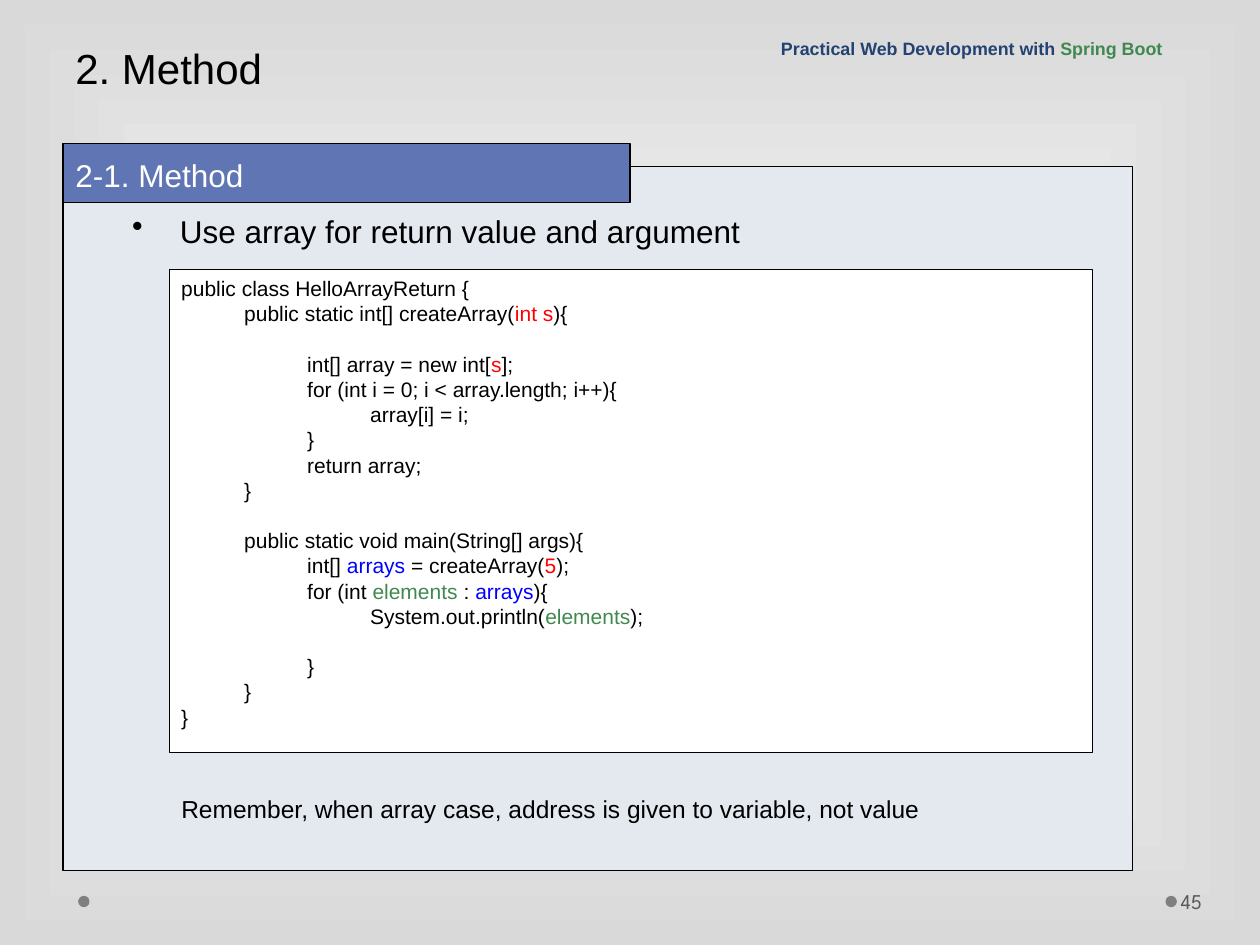
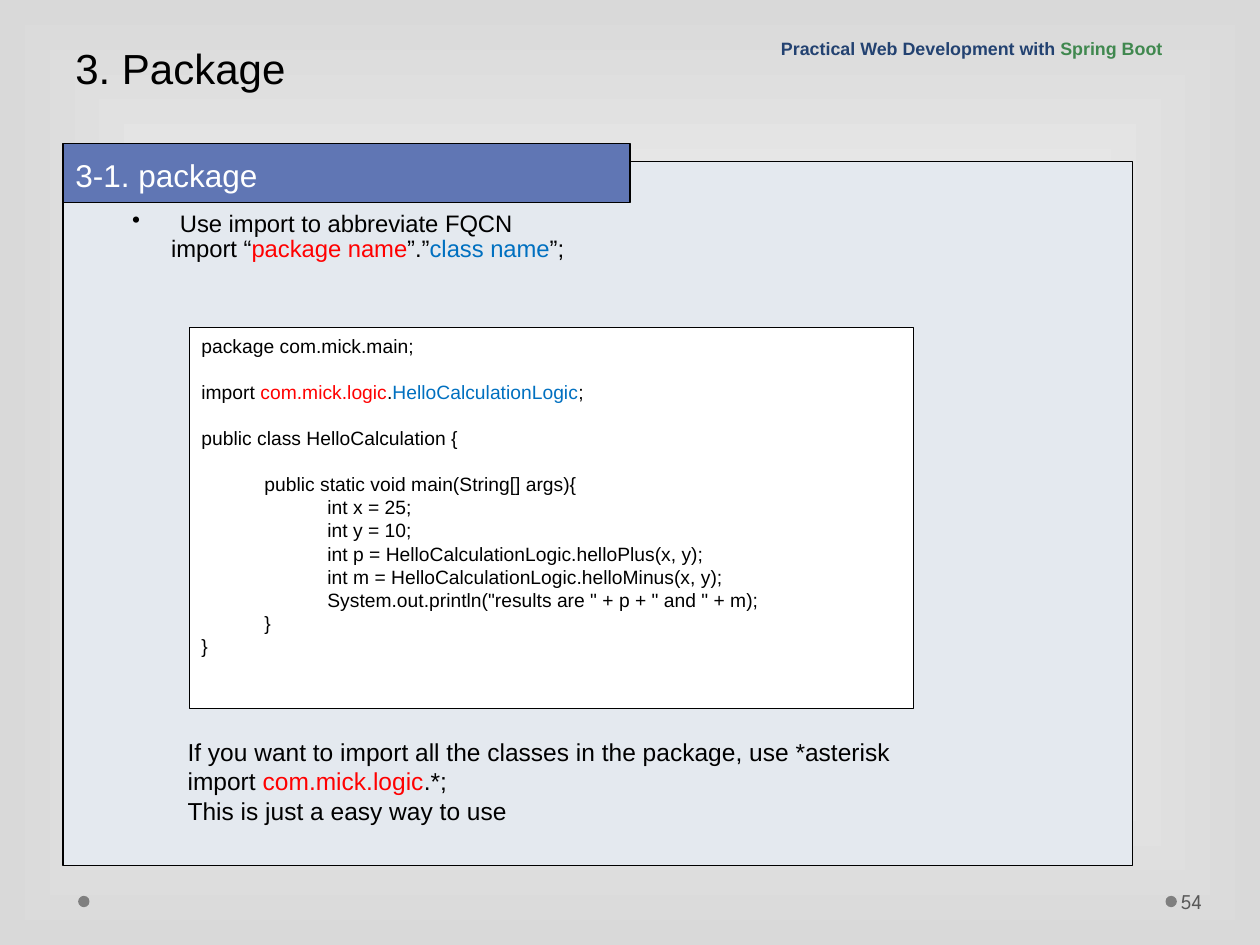
"""Build two lecture slides on Java methods and packages."""
from lxml import etree
from pptx import Presentation
from pptx.dml.color import RGBColor
from pptx.enum.shapes import MSO_SHAPE
from pptx.enum.text import MSO_ANCHOR
from pptx.oxml.ns import qn
from pptx.util import Inches, Pt

RECT, OVAL = MSO_SHAPE.RECTANGLE, MSO_SHAPE.OVAL
TOP, MIDDLE, BOTTOM = MSO_ANCHOR.TOP, MSO_ANCHOR.MIDDLE, MSO_ANCHOR.BOTTOM
BLACK, WHITE, RED, BLUE = "000000", "FFFFFF", "FF0000", "0000FF"
GREEN, SKY, NAVY, GREY = "40884F", "0070C0", "234271", "7F7F7F"
PANEL, BAND, EDGE, NUMBER = "E4E9EF", "6076B4", "D9D9D9", "595959"


def rgb(value):
    return RGBColor.from_string(value)


def add_box(slide, place, lines=(), size=12, spacing=1.0, anchor=TOP, fill=None,
            border=None, kind=RECT, font="Arial", bold=False, left=0.1, code=False):
    lengths = [Inches(n) for n in place]
    if fill:
        box = slide.shapes.add_shape(kind, *lengths)
        box.shadow.inherit = False
        box.fill.solid()
        box.fill.fore_color.rgb = rgb(fill)
        if border:
            box.line.color.rgb = rgb(BLACK)
            box.line.width = Pt(border)
        else:
            box.line.fill.background()
    else:
        box = slide.shapes.add_textbox(*lengths)
    frame = box.text_frame
    frame.word_wrap = True
    frame.vertical_anchor = anchor
    frame.margin_left = Inches(left)
    gap, started = 0, False
    for line in lines:
        if not line:
            gap += 1
            continue
        paragraph = frame.add_paragraph() if started else frame.paragraphs[0]
        started = True
        props = paragraph._p.get_or_add_pPr()
        props.set("algn", "l")
        if code:
            tabs = etree.SubElement(props, qn("a:tabLst"))
            for step in range(1, 5):
                etree.SubElement(tabs, qn("a:tab"), pos=str(Inches(step * 0.5)), algn="l")
        paragraph.line_spacing = spacing
        if gap:
            paragraph.space_before = gap * spacing
            gap = 0
        for part in line:
            text, colour = (part, BLACK) if isinstance(part, str) else part
            run = paragraph.add_run()
            run.text = text
            run.font.name = font
            run.font.size = Pt(size)
            run.font.bold = bold
            run.font.color.rgb = rgb(colour)
    return box


array_code = [
    ["public class HelloArrayReturn {"],
    ["\tpublic static int[] createArray(", ("int s", RED), "){"],
    [],
    ["\t\tint[] array = new int[", ("s", RED), "];"],
    ["\t\tfor (int i = 0; i < array.length; i++){"],
    ["\t\t\tarray[i] = i;"],
    ["\t\t}"],
    ["\t\treturn array;"],
    ["\t}"],
    [],
    ["\tpublic static void main(String[] args){"],
    ["\t\tint[] ", ("arrays", BLUE), " = createArray(", ("5", RED), ");"],
    ["\t\tfor (int ", ("elements", GREEN), " : ", ("arrays", BLUE), "){"],
    ["\t\t\tSystem.out.println(", ("elements", GREEN), ");"],
    [],
    ["\t\t}"],
    ["\t}"],
    ["}"],
]
package_code = [
    ["package com.mick.main;"],
    [],
    ["import ", ("com.mick.logic", RED), ".", ("HelloCalculationLogic", SKY), ";"],
    [],
    ["public class HelloCalculation {"],
    [],
    ["\tpublic static void main(String[] args){"],
    ["\t\tint x = 25;"],
    ["\t\tint y = 10;"],
    ["\t\tint p = HelloCalculationLogic.helloPlus(x, y);"],
    ["\t\tint m = HelloCalculationLogic.helloMinus(x, y);"],
    ['\t\tSystem.out.println("results are " + p + " and " + m);'],
    ["\t}"],
    ["}"],
]
lessons = [
    dict(number="45", title="2. Method", section="2-1. Method", panel_top=1.32,
         point=[["Use array for return value and argument"]],
         point_place=(0.95, 1.63, 6.98, 0.51), point_size=18, point_spacing=1.0,
         code=array_code, code_place=(1.34, 2.14, 7.33, 3.83), code_size=12,
         note=[["Remember, when array case, address is given to variable, not value"]],
         note_place=(1.34, 6.25, 6.55, 0.34)),
    dict(number="54", title="3. Package", section="3-1. package", panel_top=1.28,
         point=[["Use import to abbreviate FQCN"],
                ["import “", ("package name", RED), "”.”", ("class name", SKY), "”;"]],
         point_place=(0.95, 1.63, 7.52, 0.59), point_size=13.6, point_spacing=0.9,
         code=package_code, code_place=(1.5, 2.6, 5.75, 3.02), code_size=11,
         note=[["If you want to import all the classes in the package, use *asterisk"],
               ["import ", ("com.mick.logic", RED), ".*;"],
               ["This is just a easy way to use"]],
         note_place=(1.39, 5.8, 5.98, 1.04)),
]

deck = Presentation()
deck.slide_width, deck.slide_height = Inches(10), Inches(7.5)

for lesson in lessons:
    slide = deck.slides.add_slide(deck.slide_layouts[6])

    backdrop = slide.background.fill
    backdrop.gradient()
    for stop, colour in zip(backdrop.gradient_stops, (WHITE, EDGE)):
        stop.color.rgb = rgb(colour)
    gradient = slide._element.find(".//" + qn("a:gradFill"))
    gradient.remove(gradient.find(qn("a:lin")))
    glow = etree.Element(qn("a:path"), path="rect")
    etree.SubElement(glow, qn("a:fillToRect"), l="50000", t="50000", r="50000", b="50000")
    gradient.find(qn("a:gsLst")).addnext(glow)

    for dot_left in (9.25, 0.62):
        add_box(slide, (dot_left, 7.11, 0.09, 0.09), fill=GREY, kind=OVAL)
    add_box(slide, (0.5, lesson["panel_top"], 8.49, 5.59), fill=PANEL, border=0.75)
    add_box(slide, (9.34, 6.95, 0.61, 0.4), [[(lesson["number"], NUMBER)]],
            anchor=MIDDLE, font="League Spartan", left=0.03)
    add_box(slide, (0.5, 0, 9, 0.79), [[lesson["title"]]], 24, Pt(58), BOTTOM)
    add_box(slide, (0.5, 1.14, 4.5, 0.47), [[(lesson["section"], WHITE)]], 18, 1.1,
            MIDDLE, BAND, 0.75)
    add_box(slide, (6.1, 0.24, 3.9, 0.28),
            [[("Practical Web Development with ", NAVY), ("Spring Boot", GREEN)]],
            10.2, 0.9, BOTTOM, bold=True)

    point = add_box(slide, lesson["point_place"], lesson["point"],
                    lesson["point_size"], lesson["point_spacing"])
    lead, *follow_ups = point.text_frame.paragraphs
    lead_props = lead._p.get_or_add_pPr()
    lead_props.set("marL", str(Inches(0.38)))
    lead_props.set("indent", str(Inches(-0.38)))
    etree.SubElement(lead_props, qn("a:buChar"), char="•")
    for follow_up in follow_ups:
        follow_up._p.get_or_add_pPr().set("marL", str(Inches(0.31)))

    add_box(slide, lesson["code_place"], lesson["code"], lesson["code_size"],
            Pt(lesson["code_size"] * 1.2), fill=WHITE, border=0.25, code=True)
    add_box(slide, lesson["note_place"], lesson["note"], 14, Pt(16.8))

deck.save("out.pptx")
